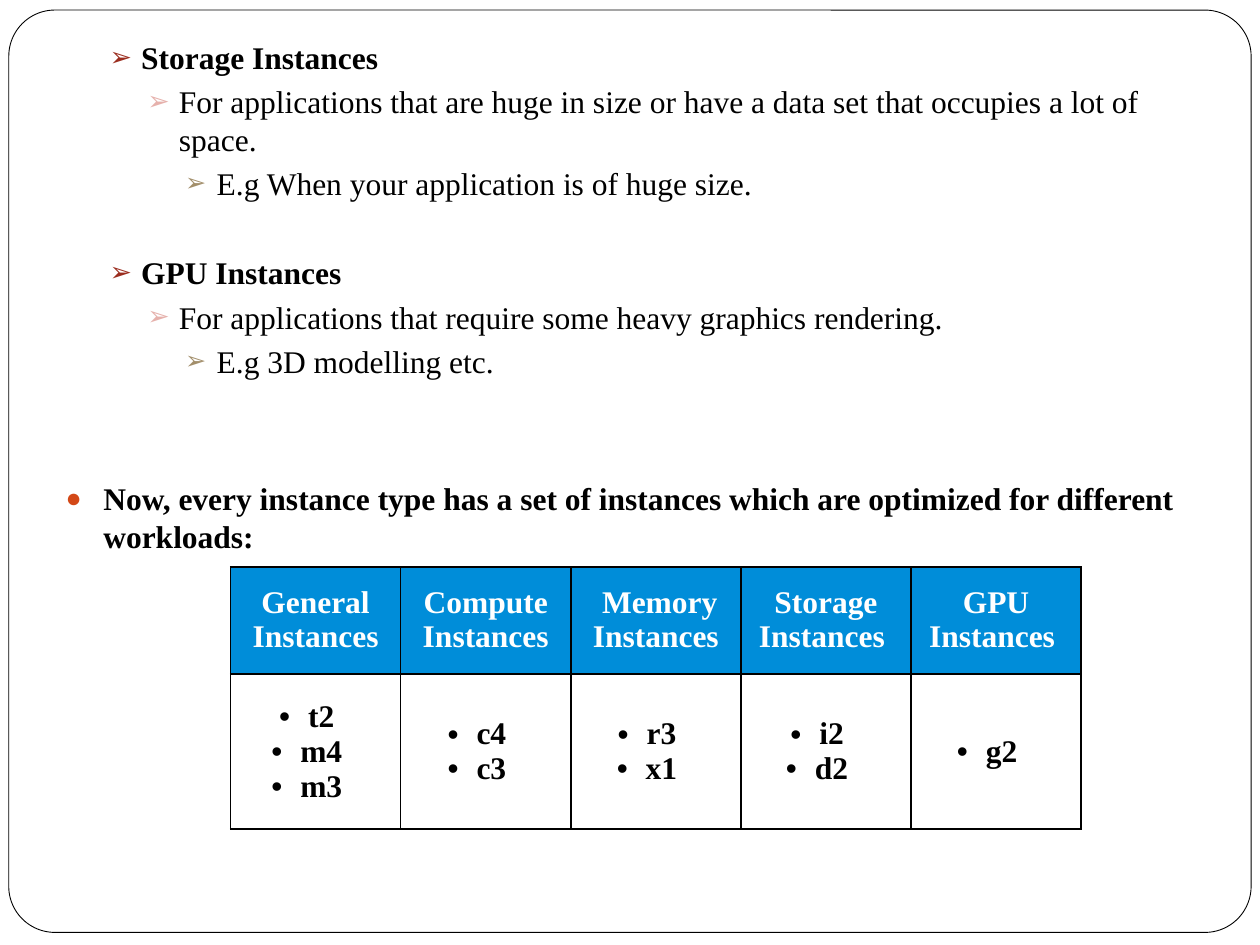
from lxml.etree import SubElement
from pptx import Presentation
from pptx.dml.color import RGBColor
from pptx.enum.shapes import MSO_SHAPE as Preset
from pptx.enum.text import MSO_ANCHOR as Anchor, MSO_AUTO_SIZE as AutoSize, PP_ALIGN as Align
from pptx.oxml.ns import qn
from pptx.util import Inches, Pt

BLACK = RGBColor(0x00, 0x00, 0x00)
WHITE = RGBColor(0xFF, 0xFF, 0xFF)
BLUE = RGBColor(0x00, 0x8D, 0xD9)
ORANGE = RGBColor(0xD3, 0x48, 0x17)
RED = RGBColor(0x9B, 0x2D, 0x1F)
PINK = RGBColor(0xE6, 0xB1, 0xAC)
TAN = RGBColor(0xA2, 0x8E, 0x6A)
FONT = "Times New Roman"

# Outline lines: level, text, rows of free space above
OUTLINE = [
    (1, "Storage Instances", 0),
    (2, "For applications that are huge in size or have a data set that occupies a lot of space.", 0),
    (3, "E.g When your application is of huge size.", 0),
    (1, "GPU Instances", 1),
    (2, "For applications that require some heavy graphics rendering.", 0),
    (3, "E.g 3D modelling etc.", 0),
    (0, "Now, every instance type has a set of instances which are optimized for different workloads:", 2),
]
# Level formats: bold, space before, hanging indent, (bullet, colour, size in percent)
LEVELS = [
    (True, 5.8, 0.3, ("●", ORANGE, 85)),
    (True, 3.7, 0.25, ("➢", RED, 85)),
    (False, 3.7, 0.25, ("➢", PINK, 85)),
    (False, 3.7, 0.25, ("➢", TAN, 80)),
]
FREE_ROW = 25.6
INSTANCE_TYPES = [
    ("General Instances", ["t2", "m4", "m3"]),
    ("Compute Instances", ["c4", "c3"]),
    (" Memory Instances", ["r3", "x1"]),
    ("Storage Instances ", ["i2", "d2"]),
    ("GPU Instances ", ["g2"]),
]
COLUMN_WIDTH = 1.35
ROW_HEIGHTS = [0.85, 1.23]
CELL_MARGIN = 0.04
LIST_MARGIN = 0.18
LIST_INDENT = 0.23


def write(paragraph, text, color=BLACK, bold=True, align=Align.LEFT, before=0,
          spacing=1.0, left=0, hanging=0, bullet=None):
    paragraph.alignment = align
    paragraph.line_spacing = spacing
    paragraph.space_before = Pt(before)
    paragraph.space_after = Pt(0)
    run = paragraph.add_run()
    run.text = text
    font = run.font
    font.name, font.size, font.bold = FONT, Pt(18), bold
    font.color.rgb = color
    if bullet:
        mark, mark_color, percent = bullet
        props = paragraph._p.get_or_add_pPr()
        props.set("marL", str(Inches(left)))
        props.set("indent", str(-Inches(hanging)))
        fill = SubElement(props, qn("a:buClr"))
        SubElement(fill, qn("a:srgbClr"), val=str(mark_color))
        SubElement(props, qn("a:buSzPct"), val=str(percent * 1000))
        SubElement(props, qn("a:buFont"), typeface="Arial")
        SubElement(props, qn("a:buChar"), char=mark)


def paragraphs(frame, count):
    for _ in range(count - 1):
        frame.add_paragraph()
    return frame.paragraphs


def add_frame(slide):
    """Put the rounded slide border behind everything else."""
    border = slide.shapes.add_shape(Preset.ROUNDED_RECTANGLE, Inches(0.07), Inches(0.08),
                                    Inches(9.86), Inches(7.32))
    border.adjustments[0] = 0.05
    border.shadow.inherit = False
    border.fill.solid()
    border.fill.fore_color.rgb = WHITE
    border.line.color.rgb = BLACK
    border.line.width = Pt(0.5)
    slide.shapes._spTree.insert(2, border._element)


def fill_outline(body):
    body.left, body.top, body.width, body.height = map(Inches, (0.42, 0.25, 9.33, 4.75))
    frame = body.text_frame
    frame.word_wrap = True
    frame.auto_size = AutoSize.NONE
    frame.vertical_anchor = Anchor.TOP
    for paragraph, (level, text, free_rows) in zip(paragraphs(frame, len(OUTLINE)), OUTLINE):
        bold, before, hanging, bullet = LEVELS[level]
        paragraph.level = level
        write(paragraph, text, bold=bold, before=before + free_rows * FREE_ROW,
              left=0.3 * (level + 1), hanging=hanging, bullet=bullet)


def format_cell(cell, color, right=CELL_MARGIN):
    cell.vertical_anchor = Anchor.MIDDLE
    cell.margin_left = cell.margin_top = cell.margin_bottom = Inches(CELL_MARGIN)
    cell.margin_right = Inches(right)
    props = cell._tc.get_or_add_tcPr()
    for side in ("lnL", "lnR", "lnT", "lnB"):
        line = SubElement(props, qn(f"a:{side}"), w=str(Pt(1)))
        SubElement(SubElement(line, qn("a:solidFill")), qn("a:srgbClr"), val=str(BLACK))
    cell.fill.solid()
    cell.fill.fore_color.rgb = color


def add_instance_table(slide):
    columns = len(INSTANCE_TYPES)
    table = slide.shapes.add_table(len(ROW_HEIGHTS), columns, Inches(1.83), Inches(4.5),
                                   Inches(COLUMN_WIDTH * columns), Inches(sum(ROW_HEIGHTS))).table
    for row, height in zip(table.rows, ROW_HEIGHTS):
        row.height = Inches(height)
    for column, (heading, instances) in enumerate(INSTANCE_TYPES):
        table.columns[column].width = Inches(COLUMN_WIDTH)
        header, listing = table.cell(0, column), table.cell(1, column)
        format_cell(header, BLUE)
        format_cell(listing, WHITE, right=LIST_MARGIN)
        write(header.text_frame.paragraphs[0], heading, color=WHITE, align=Align.CENTER, spacing=0.95)
        for paragraph, name in zip(paragraphs(listing.text_frame, len(instances)), instances):
            write(paragraph, name, align=Align.CENTER, left=LIST_INDENT, hanging=LIST_INDENT,
                  bullet=("•", BLACK, 100))


def main():
    deck = Presentation()
    deck.slide_width, deck.slide_height = Inches(10), Inches(7.5)
    slide = deck.slides.add_slide(deck.slide_layouts[1])
    title, body = slide.placeholders
    title._element.getparent().remove(title._element)
    add_frame(slide)
    fill_outline(body)
    add_instance_table(slide)
    deck.save("out.pptx")


if __name__ == "__main__":
    main()
